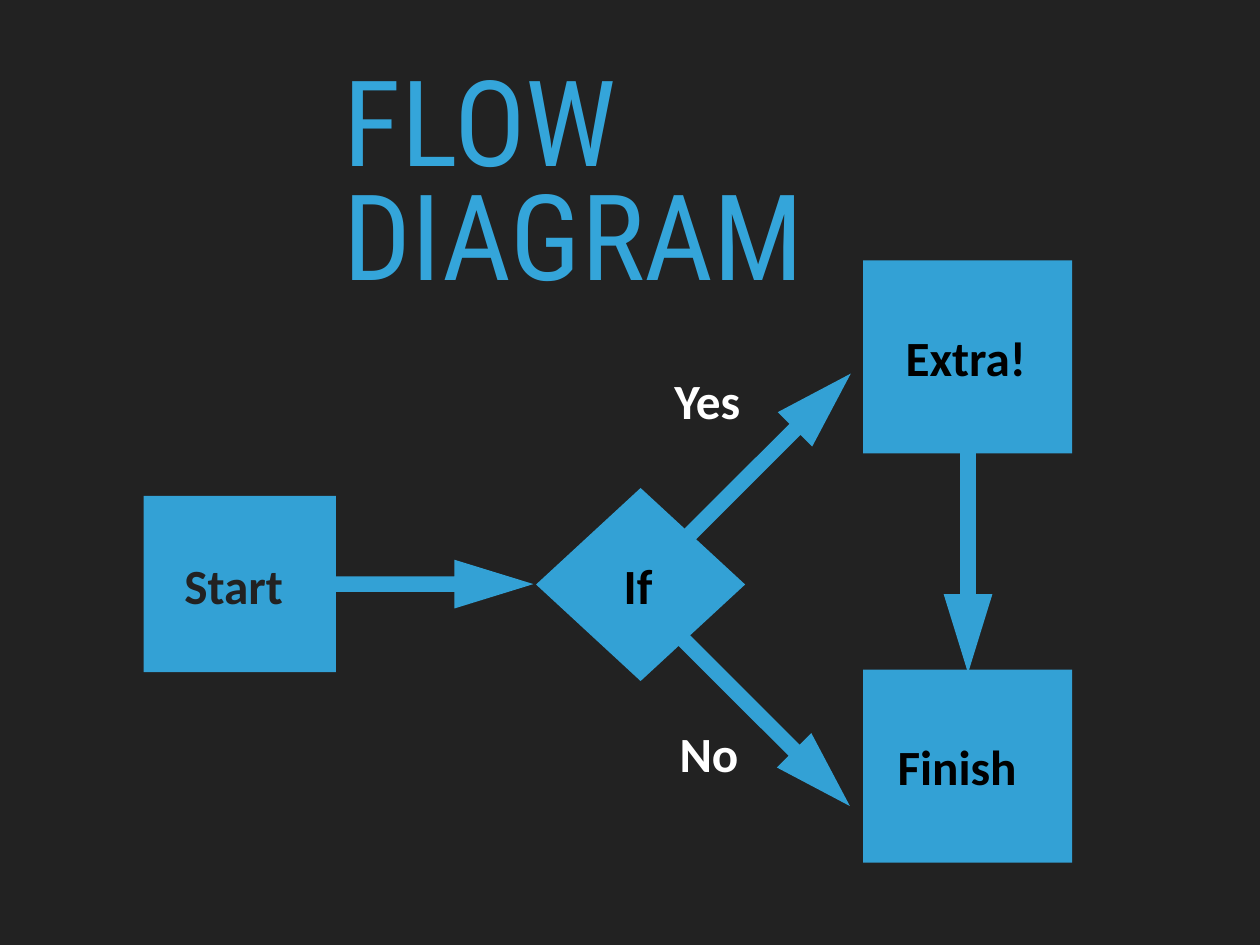
from pptx import Presentation, util as u
from pptx.dml.color import RGBColor
from pptx.enum import shapes, text

BACKGROUND = RGBColor(0x22, 0x22, 0x22)
NODE_BLUE = RGBColor(0x33, 0xA1, 0xD5)
TITLE_BLUE = RGBColor(0x34, 0xA5, 0xDA)
BLACK = RGBColor(0, 0, 0)
WHITE = RGBColor(0xFF, 0xFF, 0xFF)

SHAPE = shapes.MSO_SHAPE
ARROW_SIZE = (2.65, 0.55)
STEP_SIZE = (2.36, 2.18)
LABEL_HEIGHT = 0.88


class FlowSlide:
    """Holds the style and the slide being drawn."""

    def __init__(self, deck):
        self.slide = deck.slides.add_slide(deck.slide_layouts[5])
        self.slide.background.fill.solid()
        self.slide.background.fill.fore_color.rgb = BACKGROUND

    def add_wording(self, frame, wording, font, size, color, bold, before, spacing=None):
        frame.margin_left = frame.margin_right = u.Inches(0.06)
        frame.margin_top = frame.margin_bottom = u.Inches(0.06)
        line = frame.paragraphs[0]
        line.alignment = text.PP_ALIGN.LEFT
        line.space_before = u.Pt(before)
        if spacing:
            line.line_spacing = spacing
        run = line.add_run()
        run.text = wording
        run.font.name = font
        run.font.size = u.Pt(size)
        run.font.bold = bold
        run.font.color.rgb = color

    def title(self, wording, left, top, width, height):
        heading = self.slide.shapes.title
        heading.left, heading.top = u.Inches(left), u.Inches(top)
        heading.width, heading.height = u.Inches(width), u.Inches(height)
        frame = heading.text_frame
        frame.word_wrap = True
        frame.auto_size = text.MSO_AUTO_SIZE.NONE
        frame.vertical_anchor = text.MSO_ANCHOR.TOP
        self.add_wording(frame, wording, "Roboto Condensed", 97, TITLE_BLUE, False, 21, 0.8)

    def node(self, kind, left, top, width, height):
        node = self.slide.shapes.add_shape(
            kind, u.Inches(left), u.Inches(top), u.Inches(width), u.Inches(height))
        node.shadow.inherit = False
        node.fill.solid()
        node.fill.fore_color.rgb = NODE_BLUE
        node.line.fill.background()
        return node

    def arrow(self, left, top, angle):
        arrow = self.node(SHAPE.RIGHT_ARROW, left, top, *ARROW_SIZE)
        arrow.adjustments[0] = 0.32
        arrow.adjustments[1] = 1.62
        arrow.rotation = angle

    def label(self, wording, left, top, width, color, wrap=False):
        label = self.slide.shapes.add_textbox(
            u.Inches(left), u.Inches(top), u.Inches(width), u.Inches(LABEL_HEIGHT))
        frame = label.text_frame
        frame.word_wrap = wrap
        frame.auto_size = text.MSO_AUTO_SIZE.SHAPE_TO_FIT_TEXT
        frame.vertical_anchor = text.MSO_ANCHOR.MIDDLE
        self.add_wording(frame, wording, "Calibri", 40, color, True, 24)


def main():
    deck = Presentation()
    deck.slide_width, deck.slide_height = u.Inches(14.22), u.Inches(10.67)
    flow = FlowSlide(deck)

    flow.title("FLOW DIAGRAM", 3.82, 0.78, 6.59, 1.55)

    # Arrows: start to if, if to extra, if to finish, extra to finish
    for left, top, angle in ((3.37, 6.32, 0), (7.34, 4.88, 315),
                             (7.33, 7.89, 45), (9.6, 6, 90)):
        flow.arrow(left, top, angle)

    # Steps and decision
    flow.node(SHAPE.RECTANGLE, 1.62, 5.6, 2.17, 1.99)
    flow.node(SHAPE.DIAMOND, 6.05, 5.51, *STEP_SIZE)
    for step_top in (2.94, 7.56):
        flow.node(SHAPE.RECTANGLE, 9.74, step_top, *STEP_SIZE)

    # Step names
    flow.label("Start", 2.02, 6.16, 1.38, BACKGROUND, wrap=True)
    flow.label("If", 6.98, 6.16, 0.5, BLACK)
    flow.label("Extra!", 10.16, 3.59, 1.72, BLACK)
    flow.label("Finish", 10.07, 8.21, 1.71, BLACK)

    # Branch answers
    flow.label("Yes", 7.55, 4.08, 1.03, WHITE)
    flow.label("No", 7.61, 8.06, 0.92, WHITE)

    deck.save("out.pptx")


if __name__ == "__main__":
    main()
